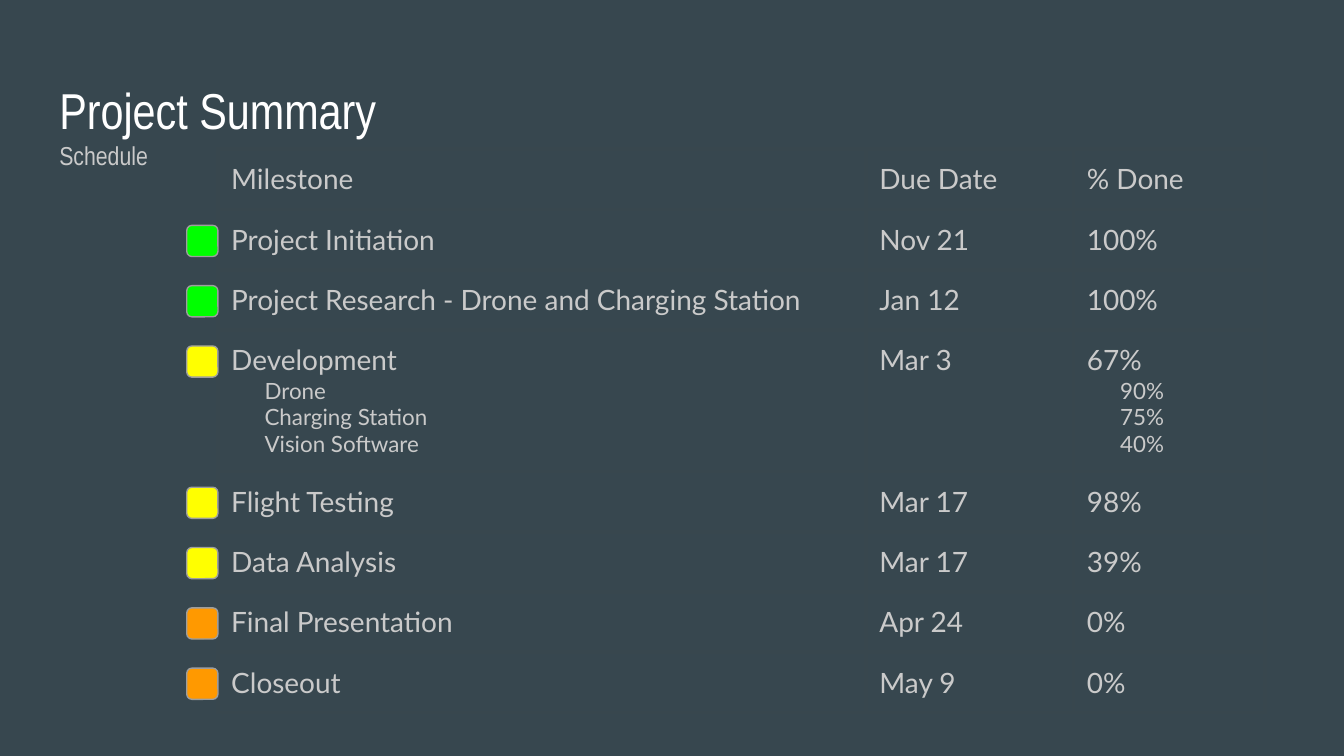
from itertools import accumulate

from lxml.etree import SubElement
from pptx import Presentation
from pptx.dml.color import RGBColor
from pptx.enum.shapes import MSO_SHAPE
from pptx.enum.text import MSO_ANCHOR, MSO_AUTO_SIZE, PP_ALIGN
from pptx.oxml.ns import qn
from pptx.util import Cm, Pt

BACKGROUND, BORDER, TEXT, OUTLINE = "37474F", "38474E", "CACACA", "9E9E9E"
DONE, ACTIVE, PENDING = "00FF00", "FFFF00", "FF9900"
INSET = 0.25
COLUMN_WIDTHS = (12.25, 3.92, 3.62)
LINE_HEIGHT, SUBLINE_HEIGHT = 0.64, 0.51

# Status colour, then the lines of each cell; lines after the first are subtasks.
MILESTONES = [
    (None, ["Milestone"], ["Due Date"], ["% Done"]),
    (DONE, ["Project Initiation"], ["Nov 21"], ["100%"]),
    (DONE, ["Project Research - Drone and Charging Station"], ["Jan 12"], ["100%"]),
    (ACTIVE, ["Development", "Drone", "Charging Station", "Vision Software"],
     ["Mar 3"], ["67%", "90%", "75%", "40%"]),
    (ACTIVE, ["Flight Testing"], ["Mar 17"], ["98%"]),
    (ACTIVE, ["Data Analysis"], ["Mar 17"], ["39%"]),
    (PENDING, ["Final Presentation"], ["Apr 24"], ["0%"]),
    (PENDING, ["Closeout"], ["May 9"], ["0%"]),
]


def colour(value):
    return RGBColor.from_string(value)


def style(paragraph, font, size, font_colour):
    paragraph.font.name = font
    paragraph.font.size = Pt(size)
    paragraph.font.color.rgb = colour(font_colour)


def add_heading(slide, left, top, width, height):
    title = slide.shapes.title
    title.left, title.top, title.width, title.height = map(Cm, (left, top, width, height))
    frame = title.text_frame
    frame.auto_size = MSO_AUTO_SIZE.NONE
    frame.word_wrap = True
    frame.vertical_anchor = MSO_ANCHOR.TOP
    frame.margin_left = frame.margin_right = Cm(INSET)
    frame.margin_top = frame.margin_bottom = Cm(INSET)
    frame.text = "Project Summary\nSchedule"
    for paragraph, size, font_colour in zip(frame.paragraphs, (27, 13.9), ("FFFFFF", TEXT)):
        paragraph.alignment = PP_ALIGN.LEFT
        style(paragraph, "Arial Narrow", size, font_colour)


def set_borders(cell):
    properties = cell._tc.get_or_add_tcPr()
    for index, side in enumerate(("a:lnL", "a:lnR", "a:lnT", "a:lnB")):
        line = properties.makeelement(qn(side), {"w": str(Pt(2.25))})
        fill = SubElement(line, qn("a:solidFill"))
        SubElement(fill, qn("a:srgbClr"), val=BORDER)
        properties.insert(index, line)


def fill_cell(cell, lines):
    cell.fill.background()
    set_borders(cell)
    cell.margin_left = cell.margin_right = Cm(INSET)
    cell.margin_top = cell.margin_bottom = Cm(INSET)
    cell.text = "\n".join(lines)
    for index, paragraph in enumerate(cell.text_frame.paragraphs):
        if index:
            properties = paragraph._p.get_or_add_pPr()
            properties.set("marL", str(Cm(0.63)))
            properties.set("indent", "0")
        style(paragraph, "Lato", 12 if index else 15, TEXT)


def add_status(slide, left, top, size, status):
    marker = slide.shapes.add_shape(
        MSO_SHAPE.ROUNDED_RECTANGLE, Cm(left), Cm(top), Cm(size), Cm(size))
    marker.shadow.inherit = False
    marker.fill.solid()
    marker.fill.fore_color.rgb = colour(status)
    marker.line.color.rgb = colour(OUTLINE)
    marker.line.width = Pt(0.75)


def add_schedule(slide, left, top, width):
    """Add the milestone table with a status marker left of each milestone."""
    heights = [2 * INSET + LINE_HEIGHT + SUBLINE_HEIGHT * (len(names) - 1)
               for _, names, _, _ in MILESTONES]
    table = slide.shapes.add_table(
        len(MILESTONES), len(COLUMN_WIDTHS),
        Cm(left), Cm(top), Cm(width), Cm(sum(heights))).table
    table.first_row = table.horz_banding = False
    for column, column_width in zip(table.columns, COLUMN_WIDTHS):
        column.width = Cm(column_width)
    row_tops = accumulate(heights, initial=top)
    for row, height, row_top, (status, *texts) in zip(
            table.rows, heights, row_tops, MILESTONES):
        row.height = Cm(height)
        for cell, lines in zip(row.cells, texts):
            fill_cell(cell, lines)
        if status:
            add_status(slide, left - 0.59, row_top + 0.3, 0.59, status)


def main():
    presentation = Presentation()
    presentation.slide_width, presentation.slide_height = Cm(25.4), Cm(14.29)
    slide = presentation.slides.add_slide(presentation.slide_layouts[5])
    slide.background.fill.solid()
    slide.background.fill.fore_color.rgb = colour(BACKGROUND)
    add_heading(slide, 0.87, 1.25, 23.67, 1.6)
    add_schedule(slide, 4.12, 2.82, sum(COLUMN_WIDTHS))
    presentation.save("out.pptx")


if __name__ == "__main__":
    main()
